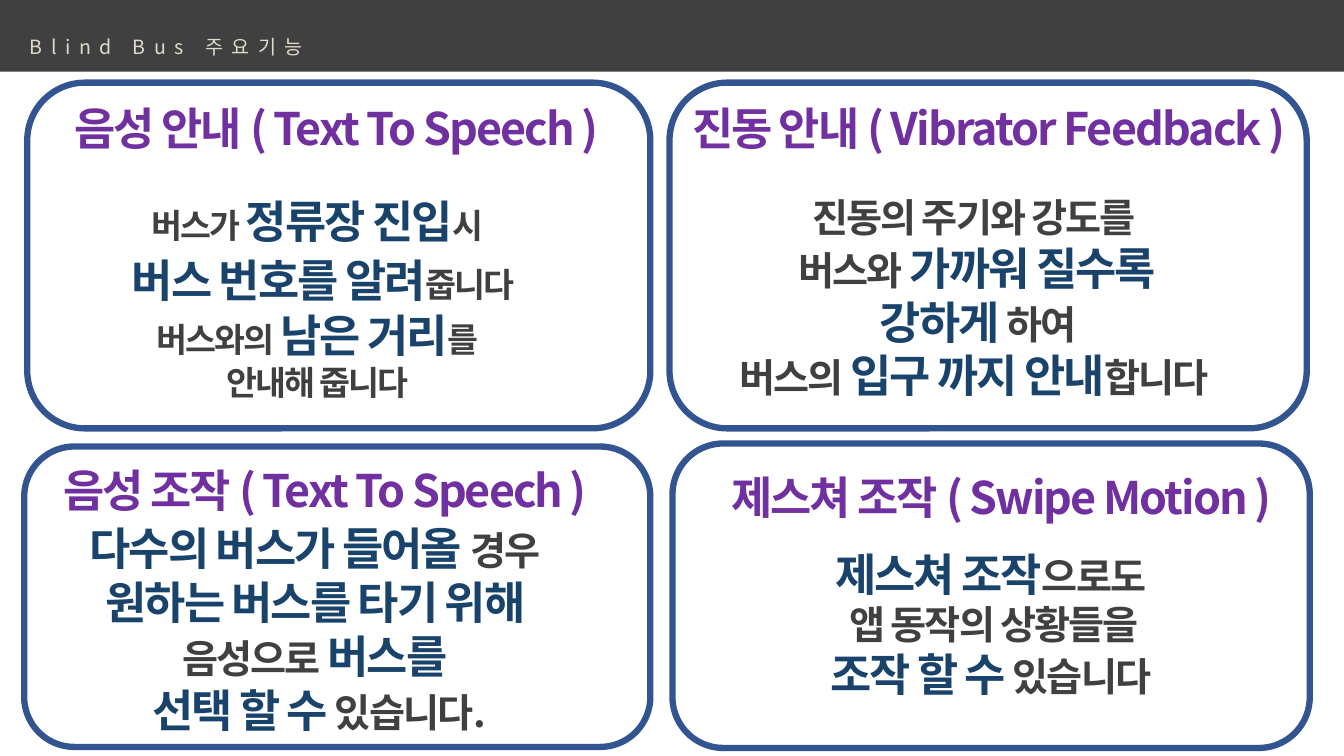
from pptx import Presentation
from pptx.dml.color import RGBColor as RGB
from pptx.enum.shapes import MSO_SHAPE as Shape
from pptx.enum.text import MSO_AUTO_SIZE as Fit, PP_ALIGN as Align
from pptx.oxml.ns import qn
from pptx.util import Pt
from lxml.etree import SubElement

PX = 9144  # 100 px to the inch

THEME = {
    "font": "Noto Sans CJK KR",
    "bar": "404040",
    "frame": "325491",
    "line": 4.5,
    "text": {
        "head": {"size": 14, "color": "E0DACB", "bold": False, "gap": 600},
        "title": {"size": 32, "color": "7030A0", "bold": True, "gap": -140},
        "key": {"size": 32, "color": "19436B", "bold": True, "gap": -140},
        "lead": {"size": 36, "color": "19436B", "bold": True, "gap": -140},
        "mid": {"size": 28, "color": "404040", "bold": True, "gap": -140},
        "small": {"size": 24, "color": "404040", "bold": True, "gap": -140},
    },
}

# Title and body boxes are measured from the corner of the card.
CARDS = [
    {
        "box": (664, 82, 632, 343),
        "title": ((0, 13, 633, 64), "진동 안내 ( Vibrator Feedback )"),
        "body": ((29, 105, 553, 219), [
            [("mid", "진동의 주기와 강도를 ")],
            [("mid", "버스와 "), ("key", "가까워 질수록")],
            [("mid", " "), ("key", "강하게"), ("mid", " 하여 ")],
            [("mid", "버스의 "), ("key", "입구 까지 안내"), ("mid", "합니다 ")],
        ]),
    },
    {
        "box": (27, 82, 618, 343),
        "title": ((22, 13, 569, 64), "음성 안내 ( Text To Speech )"),
        "body": ((45, 105, 486, 219), [
            [("small", "버스가 "), ("key", "정류장 진입"), ("small", "시")],
            [("lead", " "), ("key", "버스 번호를 알려"), ("small", "줍니다")],
            [("small", "버스와의 "), ("key", "남은 거리"), ("small", "를")],
            [("small", "안내해 줍니다")],
        ]),
    },
    {
        "box": (667, 440, 632, 302),
        "title": ((30, 21, 592, 66), "제스쳐 조작 ( Swipe Motion )"),
        "body": ((125, 97, 381, 171), [
            [("key", "제스쳐 조작"), ("mid", "으로도")],
            [("mid", " 앱 동작의 상황들을")],
            [("key", "조작 할 수"), ("mid", " 있습니다")],
        ]),
    },
    {
        "box": (24, 443, 621, 298),
        "title": ((14, 11, 569, 64), "음성 조작 ( Text To Speech )"),
        "body": ((25, 69, 527, 221), [
            [("key", "다수의 버스가 들어올 "), ("mid", "경우")],
            [("mid", " "), ("key", "원하는 버스를 타기 위해 ")],
            [("mid", "음성으로 "), ("key", "버스를")],
            [("key", " 선택 할 수"), ("mid", " 있습니다.")],
        ]),
    },
]


def scale(box):
    return [n * PX for n in box]


def inside(box, part):
    """Move a part from card coordinates to slide coordinates."""
    return (box[0] + part[0], box[1] + part[1], part[2], part[3])


def add_run(para, style, words):
    look = THEME["text"][style]
    run = para.add_run()
    run.text = words
    font = run.font
    values = {"name": THEME["font"], "size": Pt(look["size"]), "bold": look["bold"]}
    for key, value in values.items():
        setattr(font, key, value)
    font.color.rgb = RGB.from_string(look["color"])
    props = run._r.get_or_add_rPr()
    props.set("spc", str(look["gap"]))
    SubElement(props, qn("a:ea")).set("typeface", THEME["font"])


def add_text(slide, box, lines):
    """Add centred lines, each a list of (style, words) runs."""
    frame = slide.shapes.add_textbox(*scale(box)).text_frame
    frame.word_wrap = False
    frame.auto_size = Fit.SHAPE_TO_FIT_TEXT
    for i, line in enumerate(lines):
        para = frame.add_paragraph() if i else frame.paragraphs[0]
        para.alignment = Align.CENTER
        for style, words in line:
            add_run(para, style, words)


def add_bar(slide, box):
    bar = slide.shapes.add_shape(Shape.RECTANGLE, *scale(box))
    bar.shadow.inherit = False
    bar.fill.solid()
    bar.fill.fore_color.rgb = RGB.from_string(THEME["bar"])
    bar.line.fill.background()
    add_text(slide, inside(box, (12, 30, 306, 34)), [[("head", "Blind Bus 주요기능")]])


def add_card(slide, box, title, body):
    place, words = title
    add_text(slide, inside(box, place), [[("title", words)]])
    place, lines = body
    add_text(slide, inside(box, place), lines)
    frame = slide.shapes.add_shape(Shape.ROUNDED_RECTANGLE, *scale(box))
    frame.shadow.inherit = False
    frame.fill.background()
    frame.line.color.rgb = RGB.from_string(THEME["frame"])
    frame.line.width = Pt(THEME["line"])


def main():
    deck = Presentation()
    deck.slide_width, deck.slide_height = scale((1333, 750))
    slide = deck.slides.add_slide(deck.slide_layouts[6])
    add_bar(slide, (0, 0, 1333, 71))
    for card in CARDS:
        add_card(slide, **card)
    deck.save("out.pptx")


if __name__ == "__main__":
    main()
